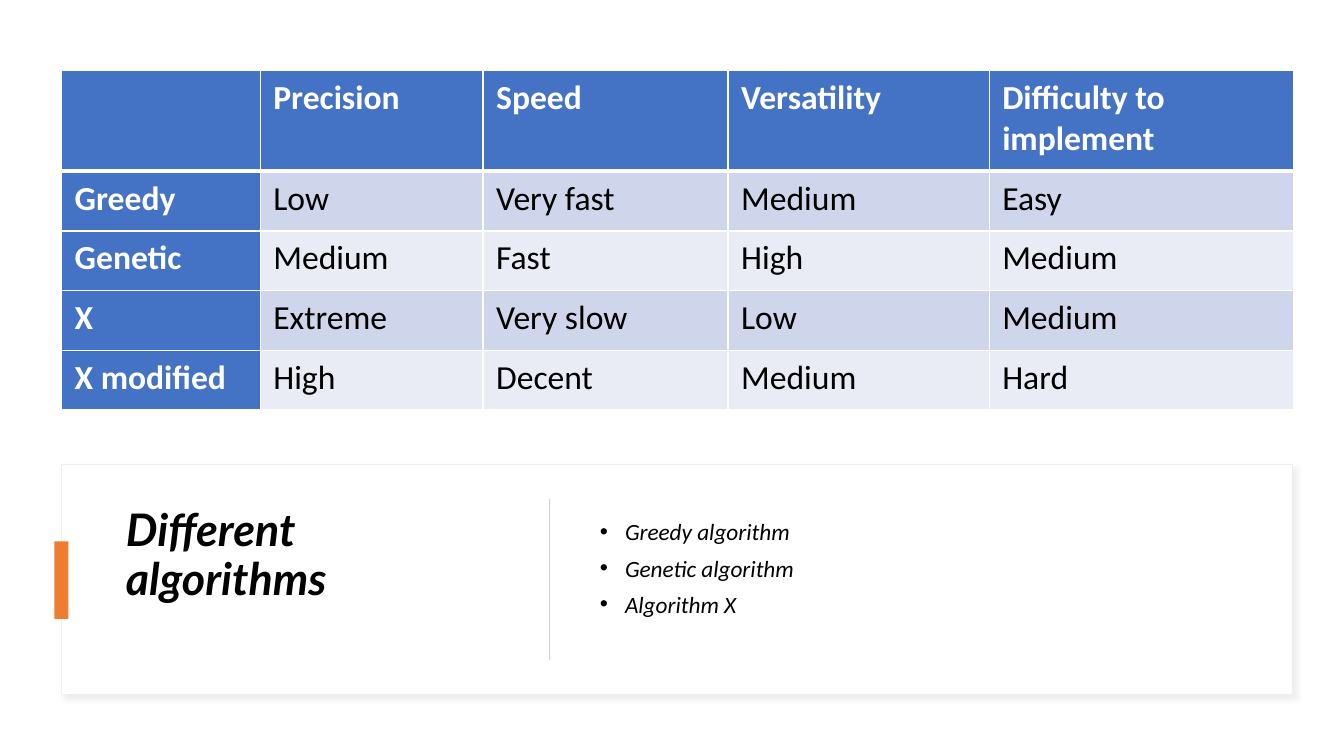
from dataclasses import dataclass
from lxml.etree import SubElement as Sub
from pptx import Presentation as Deck
from pptx.dml.color import RGBColor as Rgb
from pptx.enum.shapes import MSO_SHAPE as Kind
from pptx.enum.text import MSO_ANCHOR as Anchor
from pptx.oxml.ns import qn
from pptx.util import Emu, Inches, Pt

HUES = {
    "white": "FFFFFF", "black": "000000", "head": "4472C4",
    "odd": "CFD5EA", "even": "E9EBF5", "edge": "EFEFEF",
    "shade": "C5C3C3", "mark": "ED7D31", "rule": "D5D5D5",
}
WIDE, HIGH = Inches(13.33), Inches(7.5)


@dataclass
class Area:
    left: float
    top: float
    wide: float
    high: float

    def box(self) -> tuple:
        return across(self.left), down(self.top), across(self.wide), down(self.high)


@dataclass
class Block:
    area: Area
    fill: str
    edge: str = ""


@dataclass
class Note:
    area: Area
    lines: list
    font: str
    size: float
    bold: bool
    pitch: float
    foot: float
    dots: bool = False


CARD = Block(Area(4.58, 61.47, 91.6, 30.4), "white", "edge")
MARK = Block(Area(4.05, 71.6, 1.05, 10.27), "mark")
RULE = Block(Area(40.85, 66, 0.08, 21.33), "rule")
TITLE = Note(Area(8.63, 64.8, 29.18, 24), ["Different algorithms"],
             "Lato", 32, True, 0.9, 7.07)
LIST = Note(Area(43.89, 64.8, 49.29, 24),
            ["Greedy algorithm", "Genetic algorithm", "Algorithm X"],
            "Calibri", 16.6, False, 0.8, 3.33, True)
GRID = Area(4.58, 9.33, 91.6, 44.93)
COLS = [14.78, 16.58, 18.23, 19.43, 22.65]
ROWS = [13.33] + [7.9] * 4
CELLS = [
    ["", "Precision", "Speed", "Versatility", "Difficulty to implement"],
    ["Greedy", "Low", "Very fast", "Medium", "Easy"],
    ["Genetic", "Medium", "Fast", "High", "Medium"],
    ["X", "Extreme", "Very slow", "Low", "Medium"],
    ["X modified", "High", "Decent", "Medium", "Hard"],
]


def across(share: float) -> Emu:
    return Emu(round(WIDE * share / 100))


def down(share: float) -> Emu:
    return Emu(round(HIGH * share / 100))


def hue(name: str) -> Rgb:
    return Rgb.from_string(HUES[name])


def style(para, font: str, size: float, tint: str, bold: bool, slant: bool) -> None:
    for run in para.runs:
        run.font.name, run.font.size = font, Pt(size)
        run.font.bold, run.font.italic = bold, slant
        run.font.color.rgb = hue(tint)


def block(slide, item: Block):
    shape = slide.shapes.add_shape(Kind.RECTANGLE, *item.area.box())
    shape.shadow.inherit = False
    shape.fill.solid()
    shape.fill.fore_color.rgb = hue(item.fill)
    if item.edge:
        shape.line.color.rgb = hue(item.edge)
        shape.line.width = Pt(1)
    else:
        shape.line.fill.background()
    return shape


def shade(shape) -> None:
    effect = shape._element.spPr.find(qn("a:effectLst"))
    cast = Sub(effect, qn("a:outerShdw"), blurRad=str(Pt(4)), dist=str(Pt(3)),
               dir=str(45 * 60000), algn="tl", rotWithShape="0")
    tint = Sub(cast, qn("a:srgbClr"), val=HUES["shade"])
    Sub(tint, qn("a:alpha"), val="30000")


def dot(para) -> None:
    props = para._p.get_or_add_pPr()
    props.set("marL", str(Inches(0.25)))
    props.set("indent", str(-Inches(0.25)))
    Sub(props, qn("a:buFont"), typeface="Arial")
    Sub(props, qn("a:buChar"), char="•")


def note(slide, item: Note) -> None:
    frame = slide.shapes.add_textbox(*item.area.box()).text_frame
    frame.word_wrap = True
    frame.vertical_anchor = Anchor.MIDDLE
    frame.margin_bottom = down(item.foot)
    frame.text = "\n".join(item.lines)
    for spot, para in enumerate(frame.paragraphs):
        if item.dots:
            dot(para)
        para.line_spacing = item.pitch
        para.space_before = Pt(10 if spot else 0)
        style(para, item.font, item.size, "black", item.bold, True)


def border(cell, row: int) -> None:
    props = cell._tc.get_or_add_tcPr()
    thick = {"T": 3 if row == 1 else 1, "B": 3 if row == 0 else 1}
    for side in "LRTB":
        line = Sub(props, qn(f"a:ln{side}"), w=str(Pt(thick.get(side, 1))))
        Sub(Sub(line, qn("a:solidFill")), qn("a:srgbClr"), val=HUES["white"])


def table(slide) -> None:
    grid = slide.shapes.add_table(len(ROWS), len(COLS), *GRID.box()).table
    for col, share in zip(grid.columns, COLS):
        col.width = across(share)
    for row, share in zip(grid.rows, ROWS):
        row.height = down(share)
    for row, words in enumerate(CELLS):
        for col, word in enumerate(words):
            cell = grid.cell(row, col)
            head = row == 0 or col == 0
            border(cell, row)
            cell.fill.solid()
            cell.fill.fore_color.rgb = hue("head" if head else "odd" if row % 2 else "even")
            cell.margin_left = cell.margin_right = across(0.98)
            cell.margin_top = cell.margin_bottom = down(0.93)
            cell.text_frame.text = word
            style(cell.text_frame.paragraphs[0], "Calibri", 24,
                  "white" if head else "black", head, False)


def main() -> None:
    deck = Deck()
    deck.slide_width, deck.slide_height = WIDE, HIGH
    slide = deck.slides.add_slide(deck.slide_layouts[6])
    shade(block(slide, CARD))
    note(slide, TITLE)
    for item in (MARK, RULE):
        block(slide, item)
    note(slide, LIST)
    table(slide)
    deck.save("out.pptx")


if __name__ == "__main__":
    main()
